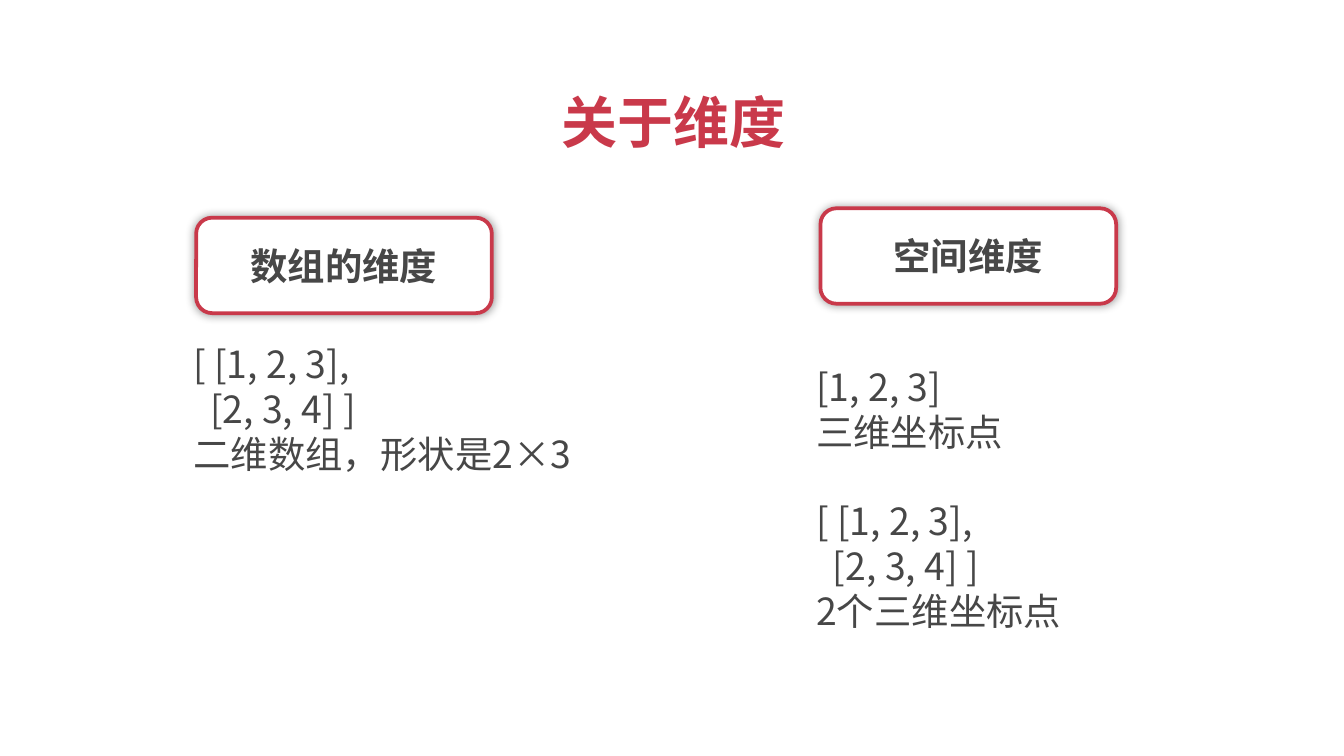
from lxml import etree
from pptx import Presentation
from pptx import util as u
from pptx.dml.color import RGBColor
from pptx.enum import shapes, text
from pptx.oxml.ns import qn

PX = 4572
FONT = "Noto Sans CJK SC"
C = {"red": "C9394A", "ink": "474747", "white": "FFFFFF", "shadow": "000000"}


def box(*lengths):
    return [n * PX for n in lengths]


def style(p, size, color, bold=False):
    p.font.size = u.Pt(size)
    p.font.bold = bold
    p.font.name = FONT
    p.font.color.rgb = RGBColor.from_string(C[color])
    for r in p.runs:
        rPr = r._r.get_or_add_rPr()
        etree.SubElement(rPr, qn("a:latin"), typeface=FONT)
        etree.SubElement(rPr, qn("a:ea"), typeface=FONT)


prs = Presentation()
prs.slide_width, prs.slide_height = box(2000, 1125)
s = prs.slides.add_slide(prs.slide_layouts[5])

title = s.shapes.title
title.left, title.top, title.width, title.height = box(102, 120, 1800, 126)
tf = title.text_frame
tf.text = "关于维度"
tf.auto_size = text.MSO_AUTO_SIZE.NONE
tf.vertical_anchor = text.MSO_ANCHOR.TOP
p = tf.paragraphs[0]
p.alignment = text.PP_ALIGN.CENTER
p.line_spacing = u.Pt(36)
style(p, 30, "red", True)

matrix = ["[ [1, 2, 3],", "  [2, 3, 4] ]"]
columns = [
    ("数组的维度", (292, 324), (168, 498, 834, 222),
     [matrix + ["二维数组，形状是2×3"]]),
    ("空间维度", (1221, 310), (1095, 532, 834, 492),
     [["[1, 2, 3]", "三维坐标点"], matrix + ["2个三维坐标点"]]),
]

for label, corner, body, groups in columns:
    sp = s.shapes.add_shape(shapes.MSO_SHAPE.ROUNDED_RECTANGLE,
                            *box(*corner, 440, 142))
    sp.fill.solid()
    sp.fill.fore_color.rgb = RGBColor.from_string(C["white"])
    sp.line.color.rgb = RGBColor.from_string(C["red"])
    sp.line.width = u.Pt(2)
    sp.shadow.inherit = False
    effects = sp._element.spPr.find(qn("a:effectLst"))
    shadow = etree.SubElement(effects, qn("a:outerShdw"), blurRad=str(u.Pt(5)),
                              dist="0", dir="0", algn="ctr", rotWithShape="0")
    color = etree.SubElement(shadow, qn("a:srgbClr"), val=C["shadow"])
    etree.SubElement(color, qn("a:alpha"), val="40000")
    tf = sp.text_frame
    tf.text = label
    tf.vertical_anchor = text.MSO_ANCHOR.MIDDLE
    p = tf.paragraphs[0]
    p.alignment = text.PP_ALIGN.CENTER
    style(p, 20, "ink", True)

    tf = s.shapes.add_textbox(*box(*body)).text_frame
    tf.word_wrap = True
    for g, lines in enumerate(groups):
        for i, line in enumerate(lines):
            p = tf.add_paragraph() if g or i else tf.paragraphs[0]
            p.text = line
            p.level = 1
            pPr = p._p.get_or_add_pPr()
            pPr.set("marL", str(100 * PX))
            pPr.set("indent", "0")
            p.line_spacing = u.Pt(24)
            if g and not i:
                p.space_before = u.Pt(24)
            style(p, 20, "ink")

prs.save("out.pptx")
